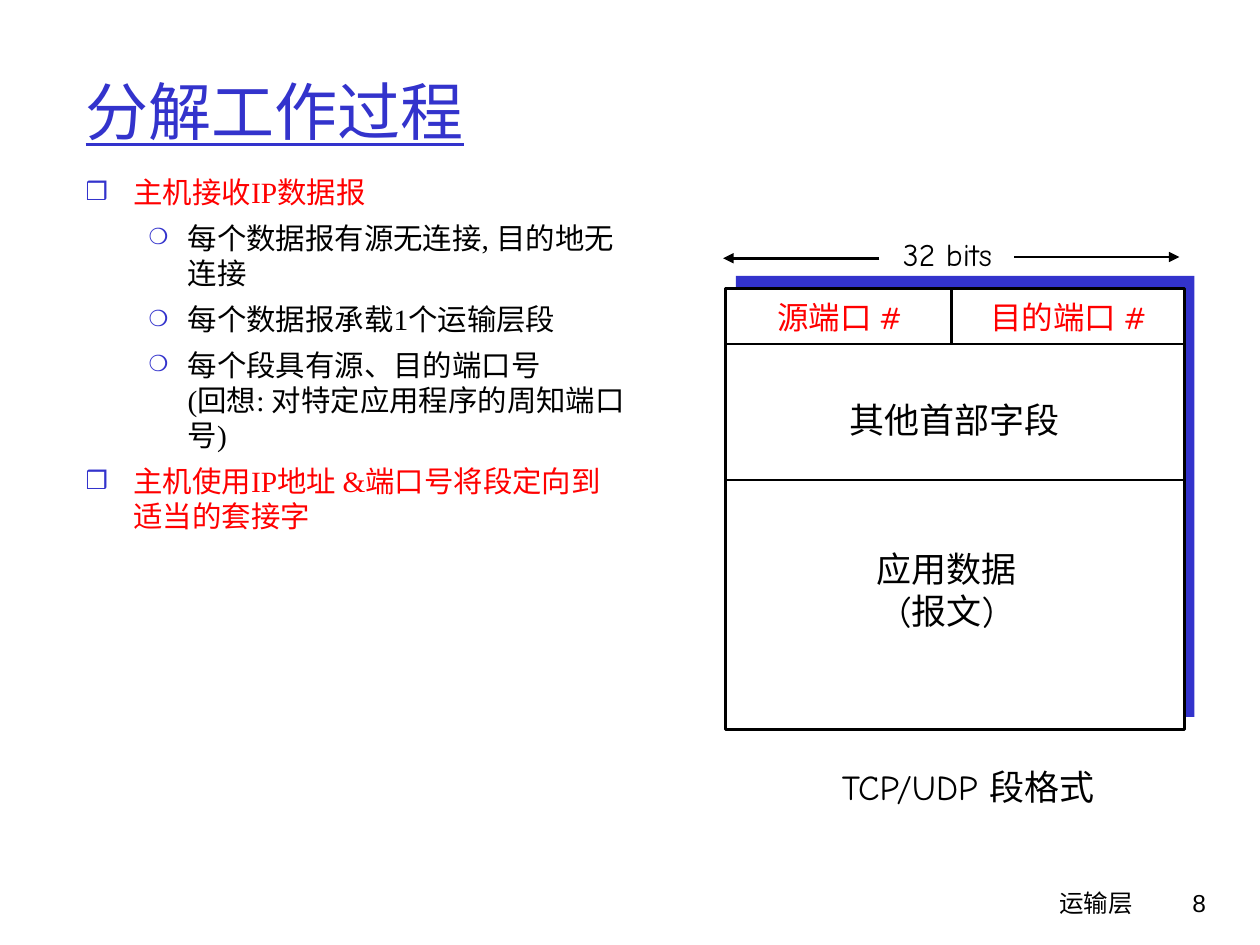
from dataclasses import dataclass

from lxml import etree
from pptx import Presentation
from pptx.dml.color import RGBColor as RGB
from pptx.enum.shapes import MSO_CONNECTOR as Conn, MSO_SHAPE as Shape
from pptx.enum.text import MSO_ANCHOR as Anchor, MSO_AUTO_SIZE as Fit, PP_ALIGN as Align
from pptx.oxml.ns import qn
from pptx.util import Inches, Pt


@dataclass(frozen=True)
class Theme:
    blue: RGB = RGB(0x33, 0x33, 0xCC)
    red: RGB = RGB(0xFF, 0, 0)
    black: RGB = RGB(0, 0, 0)
    white: RGB = RGB(0xFF, 0xFF, 0xFF)
    serif: str = "Times New Roman"
    hand: str = "Comic Neue"
    sans: str = "Arial"
    title: float = 36
    body: float = 16.8
    large: float = 20
    label: float = 18
    foot: float = 14
    line: float = 1.5


T = Theme()


def add_run(para, text, face, size, color):
    run = para.add_run()
    run.text = text
    font = run.font
    font.name, font.size, font.color.rgb = face, Pt(size), color
    return font


def add_text(box, lines, face, size, color, align=Align.CENTER, wrap=False):
    """Add a text box with one paragraph per line."""
    frame = slide.shapes.add_textbox(*map(Inches, box)).text_frame
    frame.word_wrap = wrap
    frame.auto_size = Fit.NONE if wrap else Fit.SHAPE_TO_FIT_TEXT
    for i, line in enumerate(lines):
        para = frame.add_paragraph() if i else frame.paragraphs[0]
        para.alignment = align
        add_run(para, line, face, size, color)


prs = Presentation()
prs.slide_width, prs.slide_height = Inches(10), Inches(7.5)
slide = prs.slides.add_slide(prs.slide_layouts[1])
title, body = slide.placeholders

# Footer
for box, text, face in (
    ((5.92, 7, 3.17, 0.5), "运输层", T.hand),
    ((8.93, 7, 0.74, 0.5), "8", T.sans),
):
    add_text(box, [text], face, T.foot, T.black, Align.RIGHT, True)

# Segment frame on its blue backing
left, top, width, height = 5.76, 2.29, 3.64, 3.5
for x, y, fill in ((left + 0.08, top - 0.1, T.blue), (left, top, T.white)):
    rect = slide.shapes.add_shape(
        Shape.RECTANGLE, Inches(x), Inches(y), Inches(width), Inches(height))
    rect.shadow.inherit = False
    rect.fill.solid()
    rect.fill.fore_color.rgb = fill
    rect.line.fill.background()
rect.line.color.rgb = T.black
rect.line.width = Pt(T.line)

# Title
title.left, title.top, title.width, title.height = map(Inches, (0.58, 0.25, 8.5, 1.25))
frame = title.text_frame
frame.auto_size = Fit.NONE
frame.vertical_anchor = Anchor.MIDDLE
para = frame.paragraphs[0]
para.alignment = Align.LEFT
add_run(para, "分解工作过程", T.serif, T.title, T.blue).underline = True

# Bullet list: mark, mark size in %, indent, hang, colour for each level
levels = (("❒", 85, 0.38, 0.38, T.red), ("❍", 75, 0.81, 0.31, T.black))
points = (
    (0, ["主机接收IP数据报"]),
    (1, ["每个数据报有源无连接, 目的地无连接"]),
    (1, ["每个数据报承载1个运输层段"]),
    (1, ["每个段具有源、目的端口号", "(回想: 对特定应用程序的周知端口号)"]),
    (0, ["主机使用IP地址 &端口号将段定向到适当的套接字"]),
)
body.left, body.top, body.width, body.height = map(Inches, (0.58, 1.33, 4.5, 3.05))
frame = body.text_frame
frame.auto_size = Fit.NONE
for i, (level, lines) in enumerate(points):
    mark, scale, indent, hang, color = levels[level]
    para = frame.add_paragraph() if i else frame.paragraphs[0]
    para.level = level
    props = para._p.get_or_add_pPr()
    props.set("marL", str(Inches(indent)))
    props.set("indent", str(-Inches(hang)))
    tint = etree.SubElement(props, qn("a:buClr"))
    etree.SubElement(tint, qn("a:srgbClr"), val=str(T.blue))
    etree.SubElement(props, qn("a:buSzPct"), val=str(scale * 1000))
    etree.SubElement(props, qn("a:buChar"), char=mark)
    para.space_before = Pt(6 if i else 0)
    for j, line in enumerate(lines):
        if j:
            para.add_line_break()
        add_run(para, line, T.serif, T.body, color)

# Field names and captions
for box, lines, size, color in (
    ((6.04, 2.32, 1.25, 0.4), ["源端口 #"], T.label, T.red),
    ((7.73, 2.32, 1.5, 0.4), ["目的端口 #"], T.label, T.red),
    ((7, 1.82, 1.04, 0.4), ["32 bits"], T.label, T.black),
    ((6.86, 4.3, 1.31, 0.77), ["应用数据", "(报文)"], T.large, T.black),
    ((6.64, 3.11, 1.87, 0.44), ["其他首部字段"], T.large, T.black),
    ((6.53, 6.03, 2.31, 0.44), ["TCP/UDP 段格式"], T.large, T.black),
):
    add_text(box, lines, T.hand, size, color)

# Field dividers, then the two width arrows
right, split, row = left + width, 7.55, 2.73
for ends, arrow in (
    ((left, row, right, row), False),
    ((left, 3.81, right, 3.81), False),
    ((split, row, split, top), False),
    ((8.05, 2.04, 9.36, 2.04), True),
    ((6.98, 2.05, 5.74, 2.05), True),
):
    rule = slide.shapes.add_connector(Conn.STRAIGHT, *map(Inches, ends))
    rule.line.color.rgb = T.black
    rule.line.width = Pt(T.line)
    if arrow:
        etree.SubElement(rule.line._get_or_add_ln(), qn("a:tailEnd"), type="triangle")
    etree.SubElement(rule._element.spPr, qn("a:effectLst"))

prs.save("out.pptx")
